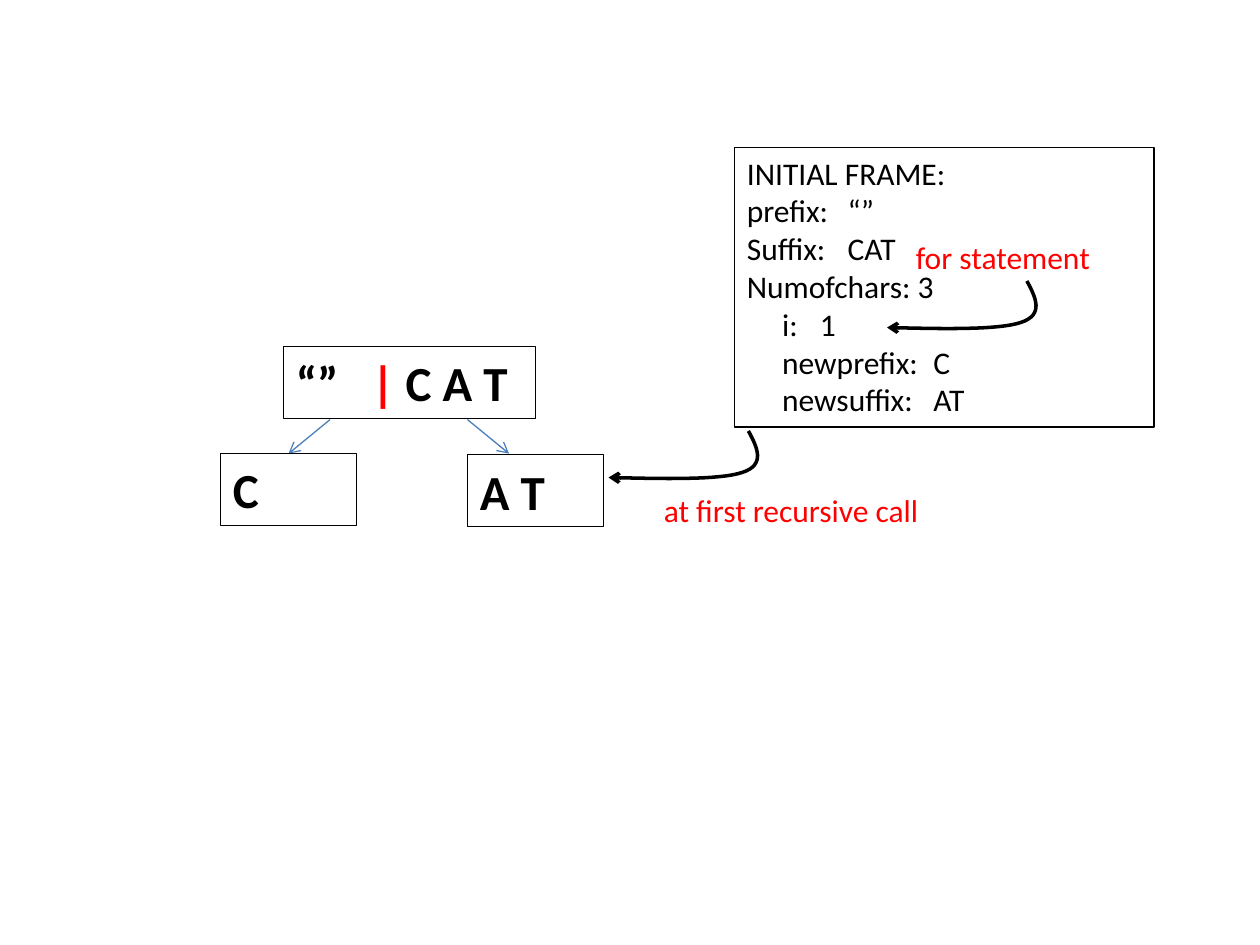
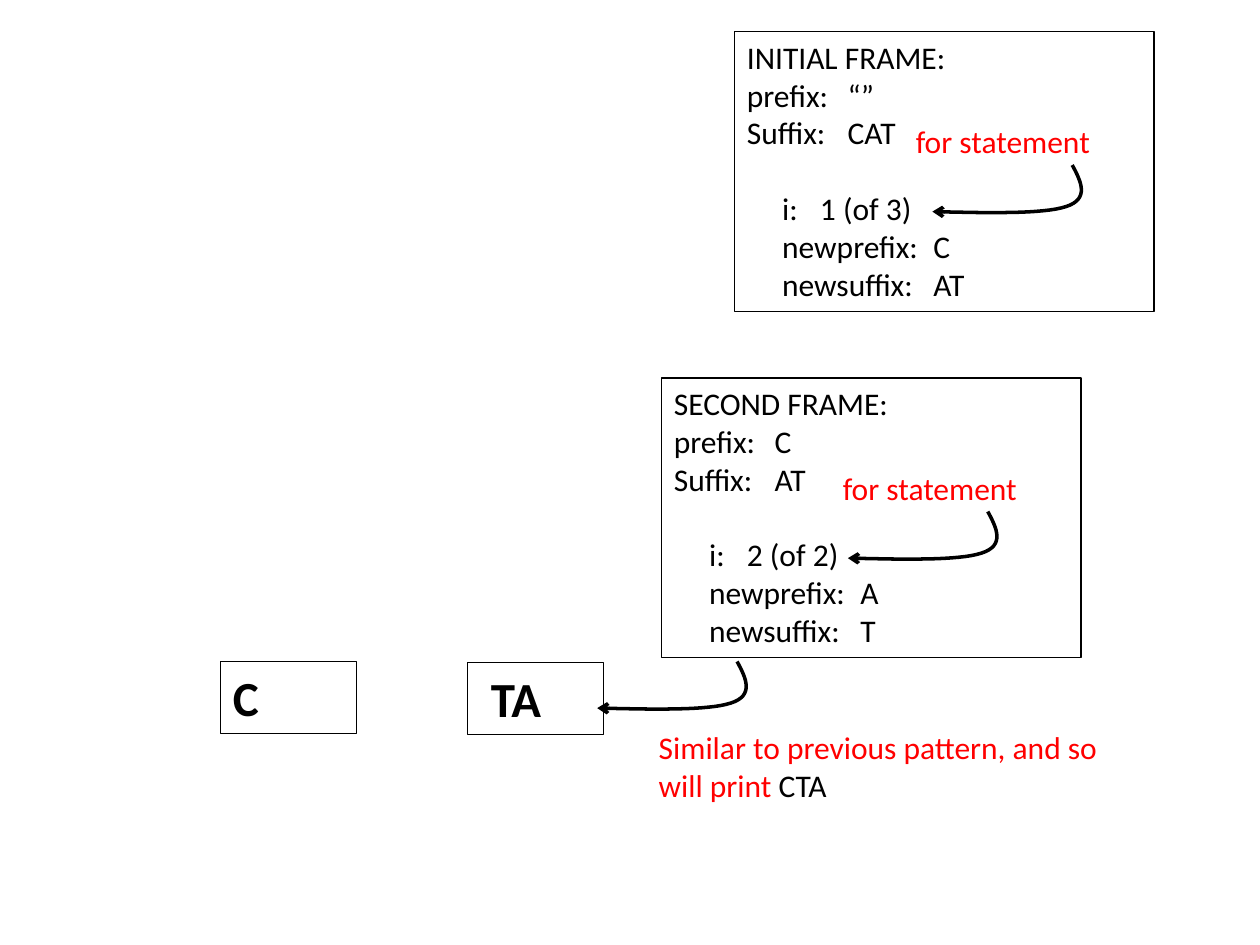
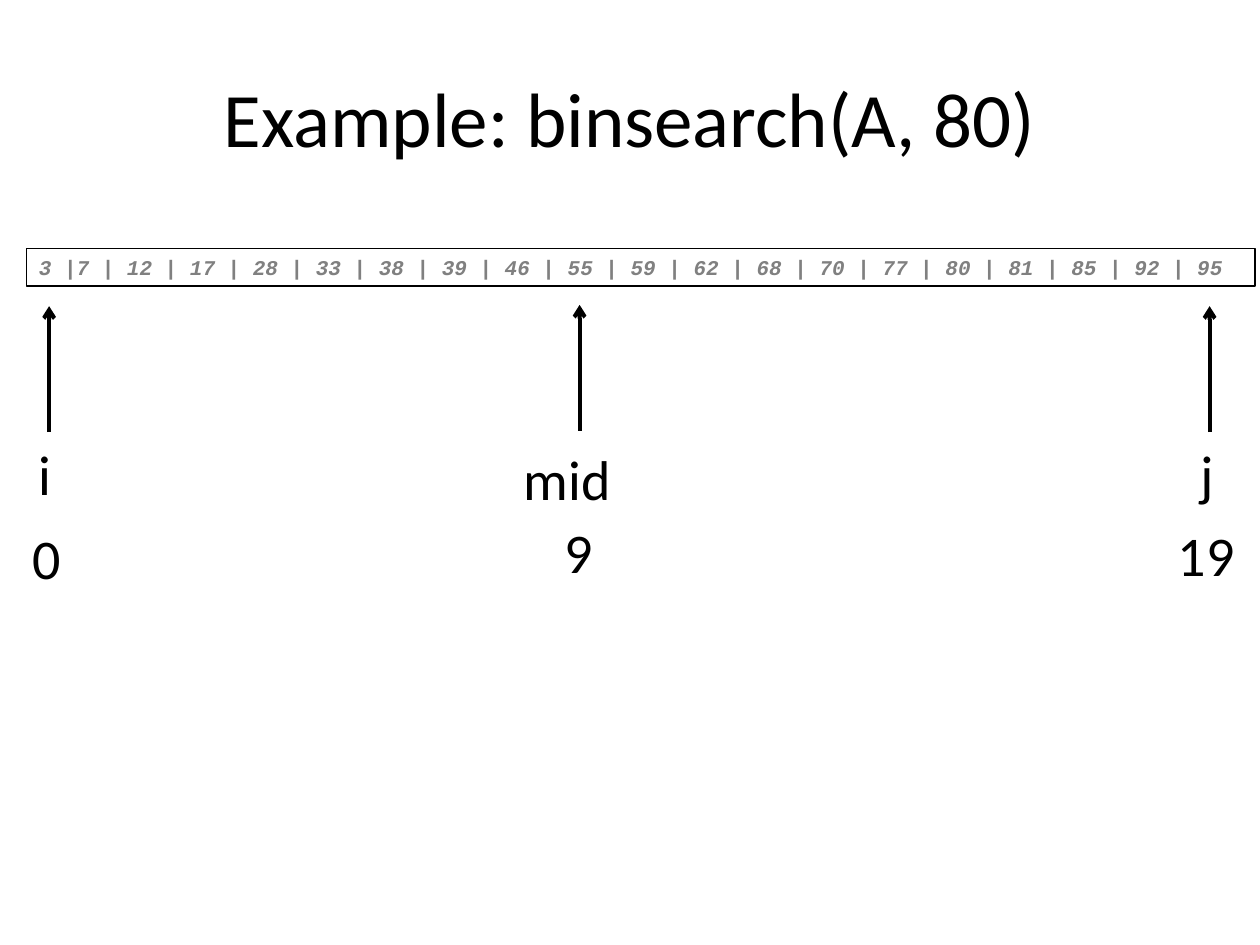
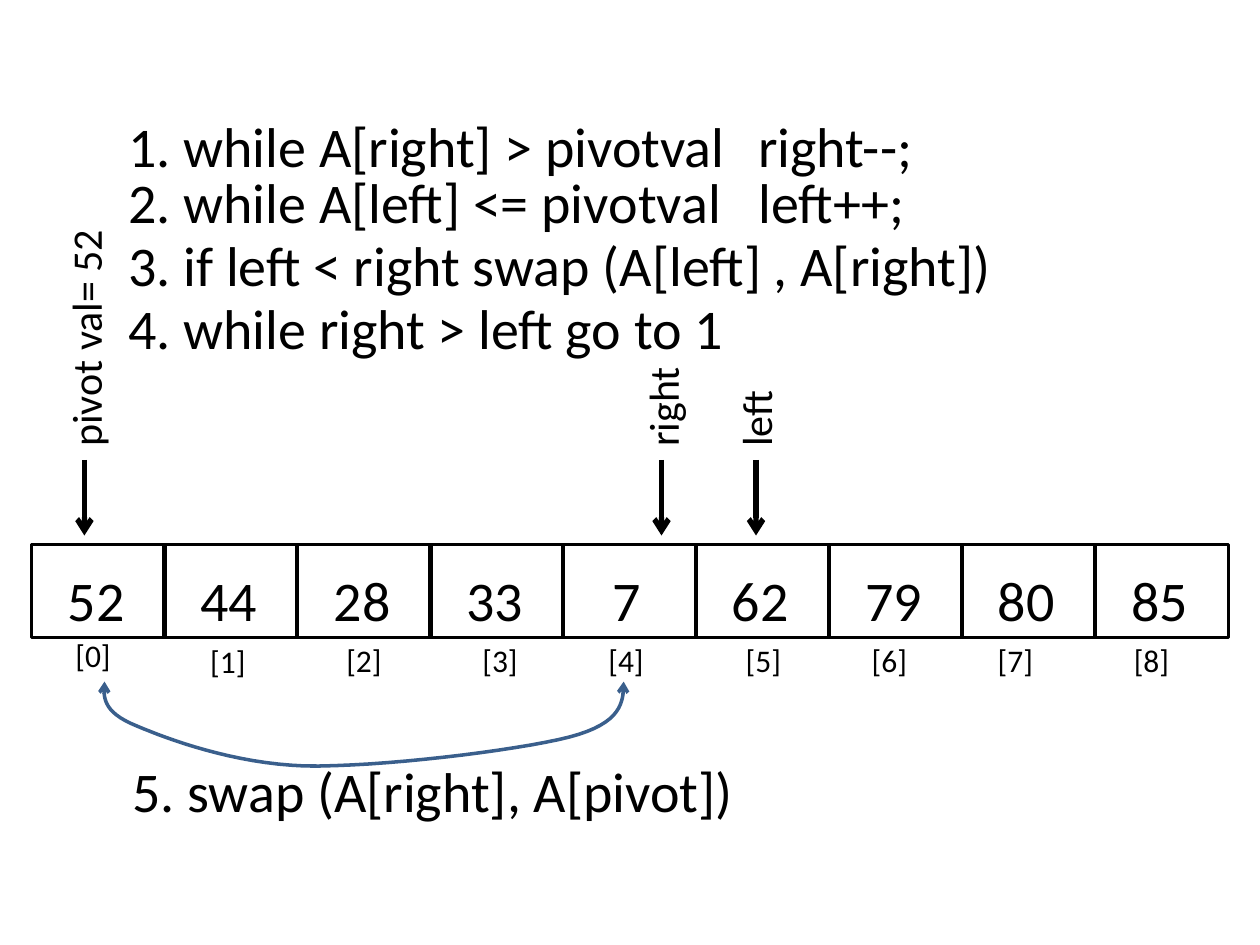
"""Builds four slides on recursive permutations, binary search and quicksort partitioning."""
from lxml.etree import SubElement
from pptx import Presentation
from pptx.dml.color import RGBColor
from pptx.enum.shapes import MSO_CONNECTOR, MSO_SHAPE
from pptx.enum.text import MSO_ANCHOR, PP_ALIGN
from pptx.oxml.ns import qn
from pptx.util import Pt

PX = 9144
COLORS = {"black": "000000", "red": "FF0000", "white": "FFFFFF", "gray": "808080",
          "branch": "4B7EBC", "swap": "3A5F8C"}
COLORS = {name: RGBColor.from_string(value) for name, value in COLORS.items()}
FRAME_TABS = (28, 58, 80, 148)
HOOK = [(0, 0), (7, 13), (14, 27), (-5, 33), (-23, 39), (-67, 38), (-111, 37)]


def add_text(page, text, left, top, width, height, size=18, color="black", font="Calibri",
             bold=False, italic=False, align=PP_ALIGN.LEFT, anchor=MSO_ANCHOR.TOP, outline=False,
             fill=None, wrap=True, rotation=0, tabs=(), gap_before=None, more_runs=()):
    """Adds a text box; more_runs holds (text, color) pairs for the last paragraph."""
    box = page.shapes.add_textbox(left * PX, top * PX, width * PX, height * PX)
    box.rotation = rotation
    if fill:
        box.fill.solid()
        box.fill.fore_color.rgb = COLORS[fill]
    if outline:
        box.line.color.rgb = COLORS["black"]
        box.line.width = Pt(0.75)
    frame = box.text_frame
    frame.word_wrap = wrap
    frame.vertical_anchor = anchor
    lines = text.split("\n")
    for number, line in enumerate(lines):
        para = frame.add_paragraph() if number else frame.paragraphs[0]
        para.alignment = align
        if number == gap_before:
            para.space_before = Pt(21.6)
        if tabs:
            tab_list = SubElement(para._p.get_or_add_pPr(), qn("a:tabLst"))
            for tab in tabs:
                SubElement(tab_list, qn("a:tab"), pos=str(tab * PX), algn="l")
        runs = [(line, color)]
        if number == len(lines) - 1:
            runs.extend(more_runs)
        for piece, piece_color in runs:
            span = para.add_run()
            span.text = piece
            span.font.name = font
            span.font.size = Pt(size)
            span.font.bold = bold
            span.font.italic = italic
            span.font.color.rgb = COLORS[piece_color]


def add_arrow(page, points, color="black", width=2, ends=("tailEnd",)):
    """Draws a straight arrow for two points, or a chain of cubic curves for more."""
    points = [(x * PX, y * PX) for x, y in points]
    if len(points) == 2:
        arrow = page.shapes.add_connector(MSO_CONNECTOR.STRAIGHT, *points[0], *points[1])
    else:
        steps = 16
        curve = []
        for first in range(0, len(points) - 1, 3):
            for step in range(1, steps + 1):
                t = step / steps
                weights = ((1 - t) ** 3, 3 * t * (1 - t) ** 2, 3 * t * t * (1 - t), t ** 3)
                knots = points[first:first + 4]
                curve.append(tuple(round(sum(weight * knot[axis] for weight, knot in zip(weights, knots)))
                                   for axis in (0, 1)))
        builder = page.shapes.build_freeform(*points[0])
        builder.add_line_segments(curve, close=False)
        arrow = builder.convert_to_shape()
        arrow.fill.background()
    arrow.line.color.rgb = COLORS[color]
    arrow.line.width = Pt(width)
    properties = arrow.element.spPr
    for end in ends:
        SubElement(properties.find(qn("a:ln")), qn("a:" + end), type="arrow")
    SubElement(properties, qn("a:effectLst"))


deck = Presentation()
deck.slide_width, deck.slide_height = 1000 * PX, 750 * PX
calls, second_call, search, partition = [deck.slides.add_slide(deck.slide_layouts[6]) for _ in range(4)]

add_text(calls, "“”\t", 225, 275, 200, 57, size=28, bold=True, outline=True, tabs=(60,),
         more_runs=[("|", "red"), (" C A T", "black")])
for start, end in ((262, 229), (371, 404)):
    add_arrow(calls, [(start, 333), (end, 360)], color="branch", width=0.75)

for page, text, left, top in (
    (calls, "C", 175, 360),
    (calls, "A T", 371, 361),
    (second_call, "C", 175, 525),
    (second_call, " TA", 371, 526),
):
    add_text(page, text, left, top, 108, 57, size=28, bold=True, outline=True)

for page, left, top, text, gap_before, hook_left in (
    (calls, 583, 117, "INITIAL FRAME:\nprefix:\t“”\nSuffix:\tCAT\nNumofchars: 3\n"
     "\ti:\t1\n\tnewprefix:\tC\n\tnewsuffix:\tAT", None, 815),
    (second_call, 583, 25, "INITIAL FRAME:\nprefix:\t“”\nSuffix:\tCAT\n"
     "\ti:\t1 (of 3)\n\tnewprefix:\tC\n\tnewsuffix:\tAT", 3, 851),
    (second_call, 525, 300, "SECOND FRAME:\nprefix:\tC\nSuffix:\tAT\n"
     "\ti:\t2 (of 2)\n\tnewprefix:\tA\n\tnewsuffix:\tT", 3, 784),
):
    add_text(page, text, left, top, 333, 222, outline=True, tabs=FRAME_TABS, gap_before=gap_before)
    add_text(page, "for statement", left + 134, top + 67, 175, 40, color="red")
    add_arrow(page, [(hook_left + x, top + 106 + y) for x, y in HOOK])

for page, left, top in ((calls, 594, 342), (second_call, 585, 525)):
    add_arrow(page, [(left + x, top + y) for x, y in HOOK])
add_text(calls, "at first recursive call", 517, 385, 267, 40, color="red")
add_text(second_call, "Similar to previous pattern, and so will print ", 513, 573, 404, 71,
         color="red", more_runs=[("CTA", "black")])

add_text(search, "Example: binsearch(A, 80)", 50, 30, 900, 125, size=44,
         align=PP_ALIGN.CENTER, anchor=MSO_ANCHOR.MIDDLE)
add_text(search, "3 |7 | 12 | 17 | 28 | 33 | 38 | 39 | 46 | 55 | 59 | 62 | 68 | 70 | 77 | 80 | 81 | 85 | 92 | 95",
         21, 197, 975, 30, size=12, color="gray", font="Courier New", bold=True, italic=True,
         anchor=MSO_ANCHOR.MIDDLE, outline=True, fill="white")
for arrow_left, arrow_top, name, name_box, index, index_box in (
    (39, 243, "i", (21, 344, 50, 64), "0", (16, 411, 50, 64)),
    (960, 243, "j", (943, 344, 50, 64), "19", (925, 408, 67, 64)),
    (460, 242, "mid", (406, 348, 108, 64), "9", (438, 406, 67, 64)),
):
    add_arrow(search, [(arrow_left, arrow_top + 100), (arrow_left, arrow_top)], width=2.25)
    add_text(search, name, *name_box, size=32)
    add_text(search, index, *index_box, size=32)

for text, left, top, width in (
    ("1. while A[right] > pivotval\tright--;", 92, 75, 858),
    ("2. while A[left] <= pivotval\tleft++;", 92, 120, 858),
    ("3. if left < right swap (A[left] , A[right])", 92, 170, 738),
    ("4. while right > left go to 1", 92, 220, 738),
    ("5. swap (A[right], A[pivot])", 95, 587, 738),
):
    add_text(partition, text, left, top, width, 80, size=32, anchor=MSO_ANCHOR.MIDDLE,
             tabs=(500,) if "\t" in text else ())

values = ("52", "44", "28", "33", " 7", "62", "79", "80", "85")
label_places = ((50, 500), (157, 505), (265, 504), (373, 504), (473, 504),
                (582, 504), (682, 504), (782, 504), (890, 504))
for index, (value, (label_left, label_top)) in enumerate(zip(values, label_places)):
    left = 25 + index * 211 // 2
    cell = partition.shapes.add_shape(MSO_SHAPE.RECTANGLE, left * PX, 432 * PX, 106 * PX, 74 * PX)
    cell.shadow.inherit = False
    cell.fill.background()
    cell.line.color.rgb = COLORS["black"]
    cell.line.width = Pt(2)
    add_text(partition, value, left + 19, 444, 68, 64, size=32)
    add_text(partition, f"[{index}]", label_left, label_top, 48, 40, wrap=False)

for name, left, top, width, arrow_left in (
    ("pivot val= 52", -40, 232, 215, 67),
    ("left", 546, 286, 107, 600),
    ("right", 472, 286, 107, 525),
):
    add_text(partition, name, left, top, width, 50, size=24, rotation=270)
    add_arrow(partition, [(arrow_left, 365), (arrow_left, 425)], width=3)

add_arrow(partition, [(83, 541), (82, 553), (81, 565), (108, 576), (134, 587), (185, 606), (242, 608),
                      (300, 609), (409, 596), (452, 585), (494, 574), (495, 557), (495, 541)],
          color="swap", ends=("headEnd", "tailEnd"))

deck.save("out.pptx")
